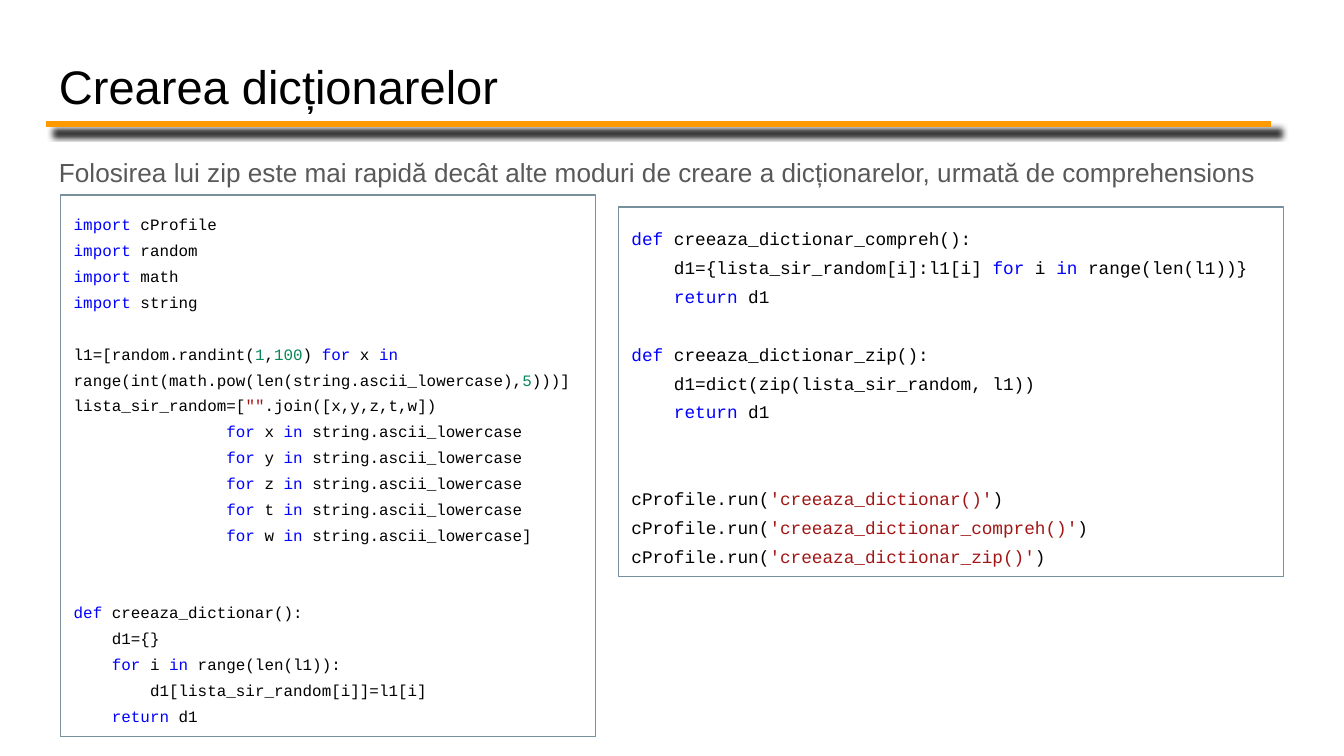
from dataclasses import dataclass

from lxml.etree import SubElement
from pptx import Presentation
from pptx.dml.color import RGBColor
from pptx.enum.shapes import MSO_CONNECTOR as Connector, MSO_SHAPE as Shape
from pptx.enum.text import MSO_ANCHOR as Anchor, MSO_AUTO_SIZE as AutoSize, PP_ALIGN as Align
from pptx.oxml.ns import qn
from pptx.util import Pt

BLACK = RGBColor(0x00, 0x00, 0x00)
GREY = RGBColor(0x59, 0x59, 0x59)
ORANGE = RGBColor(0xFF, 0x99, 0x00)
FRAME = RGBColor(0x78, 0x90, 0x9C)
KEYWORD = RGBColor(0x00, 0x00, 0xFF)
NUMBER = RGBColor(0x09, 0x86, 0x58)
STRING = RGBColor(0xA3, 0x15, 0x15)

LINE_SPACING = 1.36
LINE_PITCH = 1.62  # full line height relative to the code size
INSETS = {f"margin_{side}": Pt(7.2) for side in ("left", "top", "right", "bottom")}


@dataclass
class Box:
    left: float
    top: float
    width: float
    height: float

    def place(self) -> tuple:
        return Pt(self.left), Pt(self.top), Pt(self.width), Pt(self.height)


@dataclass
class Heading:
    text: str
    box: Box
    size: float
    color: RGBColor
    anchor: Anchor
    spacing: float


@dataclass
class Listing:
    code: str  # coloured tokens stand between bars
    box: Box
    size: float


def apply(target, values: dict) -> None:
    for name, value in values.items():
        setattr(target, name, value)


def token_color(token: str) -> RGBColor:
    if token.isdigit():
        return NUMBER
    return STRING if token[0] in "\"'" else KEYWORD


def add_heading(slide, heading: Heading) -> None:
    frame = slide.shapes.add_textbox(*heading.box.place()).text_frame
    apply(frame, INSETS | {"word_wrap": True, "vertical_anchor": heading.anchor})
    paragraph = frame.paragraphs[0]
    paragraph.line_spacing = heading.spacing
    run = paragraph.add_run()
    run.text = heading.text
    apply(run.font, {"name": "Arial", "size": Pt(heading.size)})
    run.font.color.rgb = heading.color


def add_rule(slide, left: float, right: float, y: float) -> None:
    rule = slide.shapes.add_connector(Connector.STRAIGHT, Pt(left), Pt(y), Pt(right), Pt(y))
    rule.line.color.rgb = ORANGE
    rule.line.width = Pt(3)
    effects = SubElement(rule.element.spPr, qn("a:effectLst"))
    shadow = SubElement(effects, qn("a:outerShdw"), blurRad=str(Pt(3.4)), dist=str(Pt(6)),
                        dir=str(47 * 60000), algn="bl", rotWithShape="0")
    SubElement(shadow, qn("a:srgbClr"), val=str(BLACK))


def add_listing(slide, listing: Listing) -> None:
    panel = slide.shapes.add_shape(Shape.RECTANGLE, *listing.box.place())
    panel.shadow.inherit = False
    panel.fill.background()
    panel.line.color.rgb = FRAME
    panel.line.width = Pt(0.75)
    frame = panel.text_frame
    apply(frame, INSETS | {"word_wrap": True, "vertical_anchor": Anchor.TOP,
                           "auto_size": AutoSize.SHAPE_TO_FIT_TEXT})

    paragraph, gap = frame.paragraphs[0], 0
    for number, line in enumerate(listing.code.strip().splitlines()):
        if not line:  # an empty code line becomes space before the next one
            gap += 1
            continue
        if number:
            paragraph = frame.add_paragraph()
        apply(paragraph, {"alignment": Align.LEFT, "line_spacing": LINE_SPACING,
                          "space_before": Pt(gap * LINE_PITCH * listing.size)})
        gap = 0
        for index, token in enumerate(line.split("|")):
            if token:
                run = paragraph.add_run()
                run.text = token
                apply(run.font, {"name": "Courier New", "size": Pt(listing.size)})
                run.font.color.rgb = token_color(token) if index % 2 else BLACK


HEADINGS = [
    Heading("Crearea dicționarelor", Box(24.5, 23, 671, 45.4), 25.2, BLACK, Anchor.BOTTOM, 1),
    Heading("Folosirea lui zip este mai rapidă decât alte moduri de creare a dicționarelor, "
            "urmată de comprehensions", Box(24.5, 74.2, 671, 30.2), 14, GREY, Anchor.TOP, 1.15),
]

LOOPS = "\n".join(f"{'':16}|for| {name} |in| string.ascii_lowercase" for name in "xyztw")

SETUP_CODE = f"""
|import| cProfile
|import| random
|import| math
|import| string

l1=[random.randint(|1|,|100|) |for| x |in| range(int(math.pow(len(string.ascii_lowercase),|5|)))]
lista_sir_random=[|""|.join([x,y,z,t,w])
{LOOPS}]


|def| creeaza_dictionar():
    d1={{}}
    |for| i |in| range(len(l1)):
        d1[lista_sir_random[i]]=l1[i]
    |return| d1
"""

PROFILE_CODE = """
|def| creeaza_dictionar_compreh():
    d1={lista_sir_random[i]:l1[i] |for| i |in| range(len(l1))}
    |return| d1

|def| creeaza_dictionar_zip():
    d1=dict(zip(lista_sir_random, l1))
    |return| d1


cProfile.run(|'creeaza_dictionar()'|)
cProfile.run(|'creeaza_dictionar_compreh()'|)
cProfile.run(|'creeaza_dictionar_zip()'|)
"""

LISTINGS = [
    Listing(SETUP_CODE, Box(32.4, 104.4, 286.5, 290.2), 8.5),
    Listing(PROFILE_CODE, Box(331.2, 110.9, 356.4, 198), 9.5),
]


def main() -> None:
    deck = Presentation()
    apply(deck, {"slide_width": Pt(720), "slide_height": Pt(405)})
    slide = deck.slides.add_slide(deck.slide_layouts[6])

    # Title and lead sentence
    for heading in HEADINGS:
        add_heading(slide, heading)

    # Rule under the title
    add_rule(slide, 24.5, 681.1, 66.4)

    # Code panels
    for listing in LISTINGS:
        add_listing(slide, listing)

    deck.save("out.pptx")


if __name__ == "__main__":
    main()
